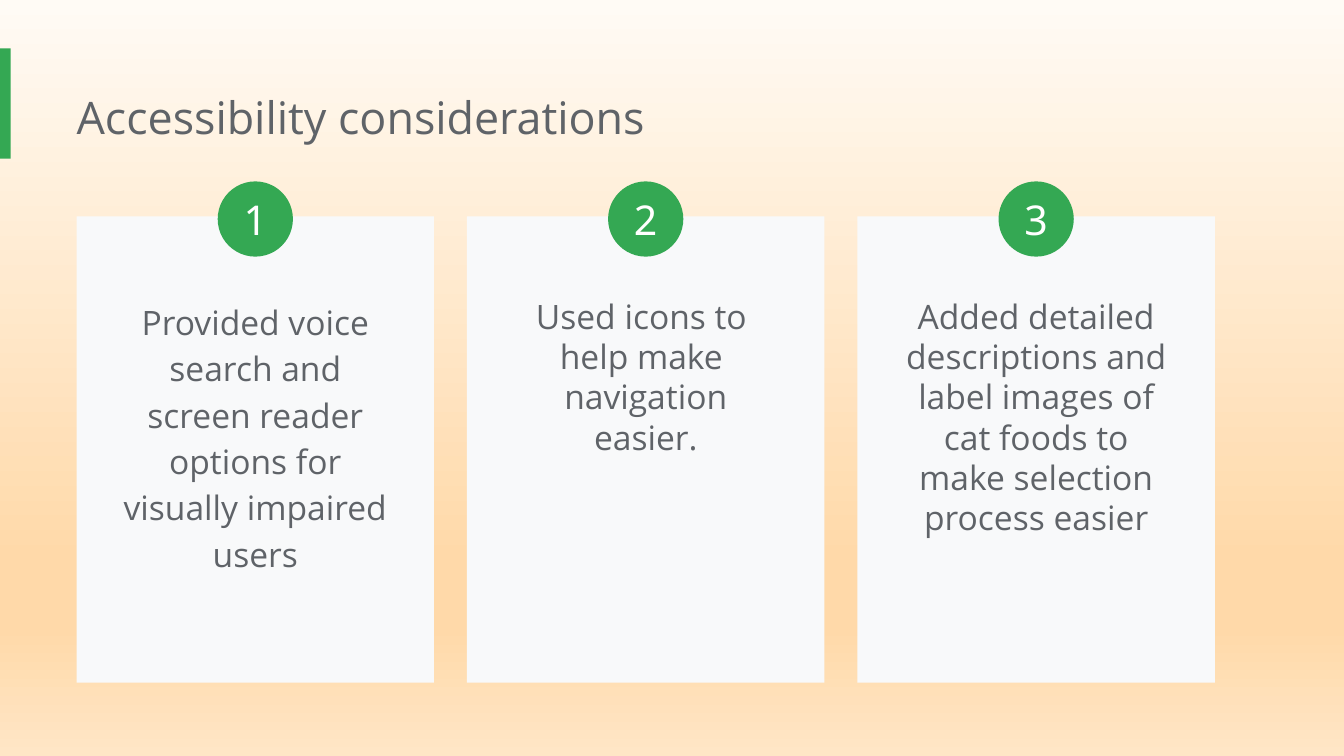
from lxml.etree import SubElement
from pptx import Presentation
from pptx.dml.color import RGBColor
from pptx.enum.shapes import MSO_SHAPE
from pptx.enum.text import MSO_ANCHOR, MSO_AUTO_SIZE, PP_ALIGN
from pptx.oxml.ns import qn
from pptx.util import Inches, Pt

GREEN = RGBColor(0x34, 0xA8, 0x53)
GREY = RGBColor(0x5F, 0x63, 0x68)
WHITE = RGBColor(0xFF, 0xFF, 0xFF)
CARD_FILL = RGBColor(0xF8, 0xF9, 0xFA)
CREAM = RGBColor(0xFF, 0xFB, 0xF5)
APRICOT = RGBColor(0xFF, 0xD9, 0xA9)
PEACH = RGBColor(0xFF, 0xE6, 0xC6)

BACKGROUND_STOPS = [(0, CREAM), (74, APRICOT), (83, APRICOT), (100, PEACH)]
CONSIDERATIONS = [
    ("Provided voice search and screen reader options for visually impaired users", 2.29, 1.15),
    ("Used icons to \vhelp make \vnavigation easier.", 1.88, 1.0),
    ("Added detailed descriptions and label images of cat foods "
     "to make selection process easier", 2.22, 1.0),
]

INSET = Inches(0.1)
TITLE_FRAME = {"margin_left": 0, "margin_right": INSET, "margin_top": INSET,
               "margin_bottom": INSET, "vertical_anchor": MSO_ANCHOR.TOP,
               "word_wrap": True, "auto_size": MSO_AUTO_SIZE.NONE}
CARD_FRAME = {**TITLE_FRAME, "margin_left": INSET}
BADGE_FRAME = {"margin_left": 0, "margin_right": 0, "margin_top": 0,
               "margin_bottom": 0, "vertical_anchor": MSO_ANCHOR.MIDDLE}
TITLE_FONT = {"name": "Open Sans", "size": Pt(24)}
CARD_FONT = {"name": "Open Sans", "size": Pt(18)}
BADGE_FONT = {"name": "Noto Sans", "size": Pt(22)}


def add_block(preset, left, top, width, height, color):
    """Add a flat preset shape in one colour, measured in inches."""
    block = slide.shapes.add_shape(
        preset, Inches(left), Inches(top), Inches(width), Inches(height))
    block.shadow.inherit = False
    block.fill.solid()
    block.fill.fore_color.rgb = color
    block.line.fill.background()
    return block


def write(holder, text, frame_format, font_format, color, align, spacing=1.0):
    """Fill a shape with one formatted paragraph."""
    frame = holder.text_frame
    frame.text = text
    paragraph = frame.paragraphs[0]
    paragraph.alignment = align
    paragraph.line_spacing = spacing
    targets = [(frame, frame_format)]
    targets += [(run.font, font_format) for run in paragraph.runs]
    for target, values in targets:
        for name, value in values.items():
            setattr(target, name, value)
    for run in paragraph.runs:
        run.font.color.rgb = color


deck = Presentation()
deck.slide_width = Inches(10)
deck.slide_height = deck.slide_width * 9 // 16
slide = deck.slides.add_slide(deck.slide_layouts[5])

# Background gradient, from top to bottom
background = slide.background.fill
background.gradient()
background.gradient_angle = 270
stops = next(slide.element.iter(qn("a:gsLst")))
for default_stop in list(stops):
    stops.remove(default_stop)
for percent, color in BACKGROUND_STOPS:
    stop = SubElement(stops, qn("a:gs"), pos=str(percent * 1000))
    SubElement(stop, qn("a:srgbClr"), val=str(color))

# Heading with its accent bar
add_block(MSO_SHAPE.RECTANGLE, 0, 0.36, 0.08, 0.82, GREEN)
title = slide.shapes.title
title.left, title.top = Inches(0.57), Inches(0.57)
title.width, title.height = Inches(7.66), Inches(0.61)
write(title, "Accessibility considerations", TITLE_FRAME, TITLE_FONT, GREY, PP_ALIGN.LEFT)

# Numbered cards, evenly spaced from the first to the last left edge
FIRST_LEFT, LAST_LEFT, CARD_WIDTH = 0.57, 6.38, 2.66
TEXT_WIDTH, BADGE_SIZE = 2.24, 0.56
card_step = (LAST_LEFT - FIRST_LEFT) / (len(CONSIDERATIONS) - 1)
for index, (consideration, text_height, spacing) in enumerate(CONSIDERATIONS):
    left = FIRST_LEFT + index * card_step
    center = left + CARD_WIDTH / 2
    add_block(MSO_SHAPE.RECTANGLE, left, 1.61, CARD_WIDTH, 3.47, CARD_FILL)
    description = slide.shapes.add_textbox(
        Inches(center - TEXT_WIDTH / 2), Inches(2.1), Inches(TEXT_WIDTH), Inches(text_height))
    write(description, consideration, CARD_FRAME, CARD_FONT, GREY, PP_ALIGN.CENTER, spacing)
    badge = add_block(MSO_SHAPE.OVAL, center - BADGE_SIZE / 2, 1.35,
                      BADGE_SIZE, BADGE_SIZE, GREEN)
    write(badge, str(index + 1), BADGE_FRAME, BADGE_FONT, WHITE, PP_ALIGN.CENTER)

deck.save("out.pptx")
